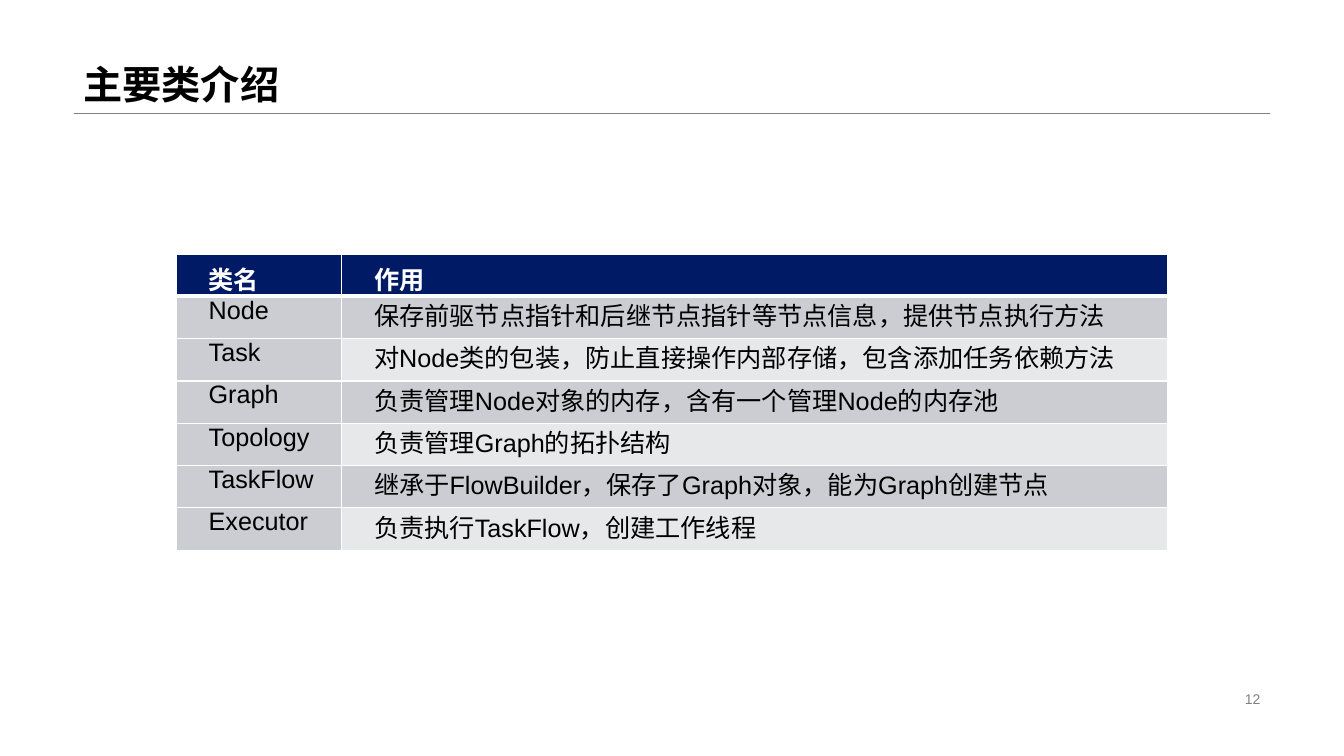
import dataclasses

import lxml.etree
import pptx
import pptx.dml.color
import pptx.enum.shapes
import pptx.enum.text
import pptx.oxml.ns
import pptx.util

Inches = pptx.util.Inches
Pt = pptx.util.Pt
RGB = pptx.dml.color.RGBColor.from_string
ALIGN = pptx.enum.text.PP_ALIGN
ANCHOR = pptx.enum.text.MSO_ANCHOR
qn = pptx.oxml.ns.qn


@dataclasses.dataclass(frozen=True)
class Theme:
    font: str = "Arial"
    ink: str = "000000"
    paper: str = "FFFFFF"
    muted: str = "808080"
    header: str = "001A66"
    band_dark: str = "CCCDD3"
    band_light: str = "E7E8EA"
    title_size: float = 28
    body_size: float = 18
    number_size: float = 10


ROWS = [
    ("类名", "作用"),
    ("Node", "保存前驱节点指针和后继节点指针等节点信息，提供节点执行方法"),
    ("Task", "对Node类的包装，防止直接操作内部存储，包含添加任务依赖方法"),
    ("Graph", "负责管理Node对象的内存，含有一个管理Node的内存池"),
    ("Topology", "负责管理Graph的拓扑结构"),
    ("TaskFlow", "继承于FlowBuilder，保存了Graph对象，能为Graph创建节点"),
    ("Executor", "负责执行TaskFlow，创建工作线程"),
]


def apply(target, formats):
    for name, value in formats.items():
        setattr(target, name, value)


class SlideBuilder:
    """Draws styled elements on the current slide."""

    def __init__(self, s, theme):
        self.s = s
        self.theme = theme

    def paragraph(self, tf, text, size, color, bold=False, **formats):
        p = tf.paragraphs[0]
        apply(p, formats)
        r = p.add_run()
        r.text = text
        apply(r.font, {"name": self.theme.font, "size": Pt(size), "bold": bold})
        r.font.color.rgb = RGB(color)
        return p

    def text(self, box, text, size, color, anchor, bold=False, **formats):
        sp = self.s.shapes.add_textbox(*map(Inches, box))
        apply(sp.text_frame, {"word_wrap": True, "vertical_anchor": anchor})
        self.paragraph(sp.text_frame, text, size, color, bold, **formats)

    def rule(self, x1, x2, y, color, width):
        line = self.s.shapes.add_connector(
            pptx.enum.shapes.MSO_CONNECTOR.STRAIGHT, *map(Inches, (x1, y, x2, y)))
        line.line.color.rgb = RGB(color)
        line.line.width = Pt(width)
        lxml.etree.SubElement(line._element.spPr, qn("a:effectLst"))

    def borders(self, cell, widths):
        tcPr = cell._tc.get_or_add_tcPr()
        for side, width in widths.items():
            ln = lxml.etree.SubElement(tcPr, qn(f"a:ln{side}"), w=str(Pt(width)))
            fill = lxml.etree.SubElement(ln, qn("a:solidFill"))
            lxml.etree.SubElement(fill, qn("a:srgbClr"), val=self.theme.paper)

    def cell(self, cell, text, row, col):
        t = self.theme
        head = row == 0
        self.borders(cell, {"L": 1, "R": 1, "T": 3 if row == 1 else 1, "B": 3 if head else 1})
        cell.fill.solid()
        band = t.band_dark if col == 0 or row % 2 else t.band_light
        cell.fill.fore_color.rgb = RGB(t.header if head else band)
        apply(cell, {
            "margin_left": Inches(0.07), "margin_right": Inches(0.07),
            "margin_top": 0, "margin_bottom": 0,
            "vertical_anchor": ANCHOR.BOTTOM if head else ANCHOR.TOP,
        })
        p = self.paragraph(cell.text_frame, text, t.body_size, t.paper if head else t.ink, head,
                           space_before=Pt(1.8), space_after=Pt(1.8))
        pPr = p._p.get_or_add_pPr()
        pPr.set("marL", "0")
        pPr.set("indent", str(Inches(0.25)))

    def table(self, left, top, widths, row_height, rows):
        table = self.s.shapes.add_table(
            len(rows), len(widths), Inches(left), Inches(top),
            Inches(sum(widths)), Inches(row_height * len(rows))).table
        for column, width in zip(table.columns, widths):
            column.width = Inches(width)
        for i, values in enumerate(rows):
            table.rows[i].height = Inches(row_height)
            for j, value in enumerate(values):
                self.cell(table.cell(i, j), value, i, j)


def main():
    prs = pptx.Presentation()
    apply(prs, {"slide_width": Inches(13.33), "slide_height": Inches(7.5)})
    t = Theme()
    b = SlideBuilder(prs.slides.add_slide(prs.slide_layouts[6]), t)
    b.rule(0.73, 12.6, 1.12, t.muted, 0.25)
    b.text((0.73, 0, 11.87, 1.12), "主要类介绍", t.title_size, t.ink, ANCHOR.BOTTOM,
           bold=True, line_spacing=0.9)
    b.text((9.42, 6.82, 3.18, 0.23), "12", t.number_size, t.muted, ANCHOR.MIDDLE,
           alignment=ALIGN.RIGHT)
    b.table(1.75, 2.52, (1.64, 8.19), 0.42, ROWS)
    prs.save("out.pptx")


if __name__ == "__main__":
    main()
